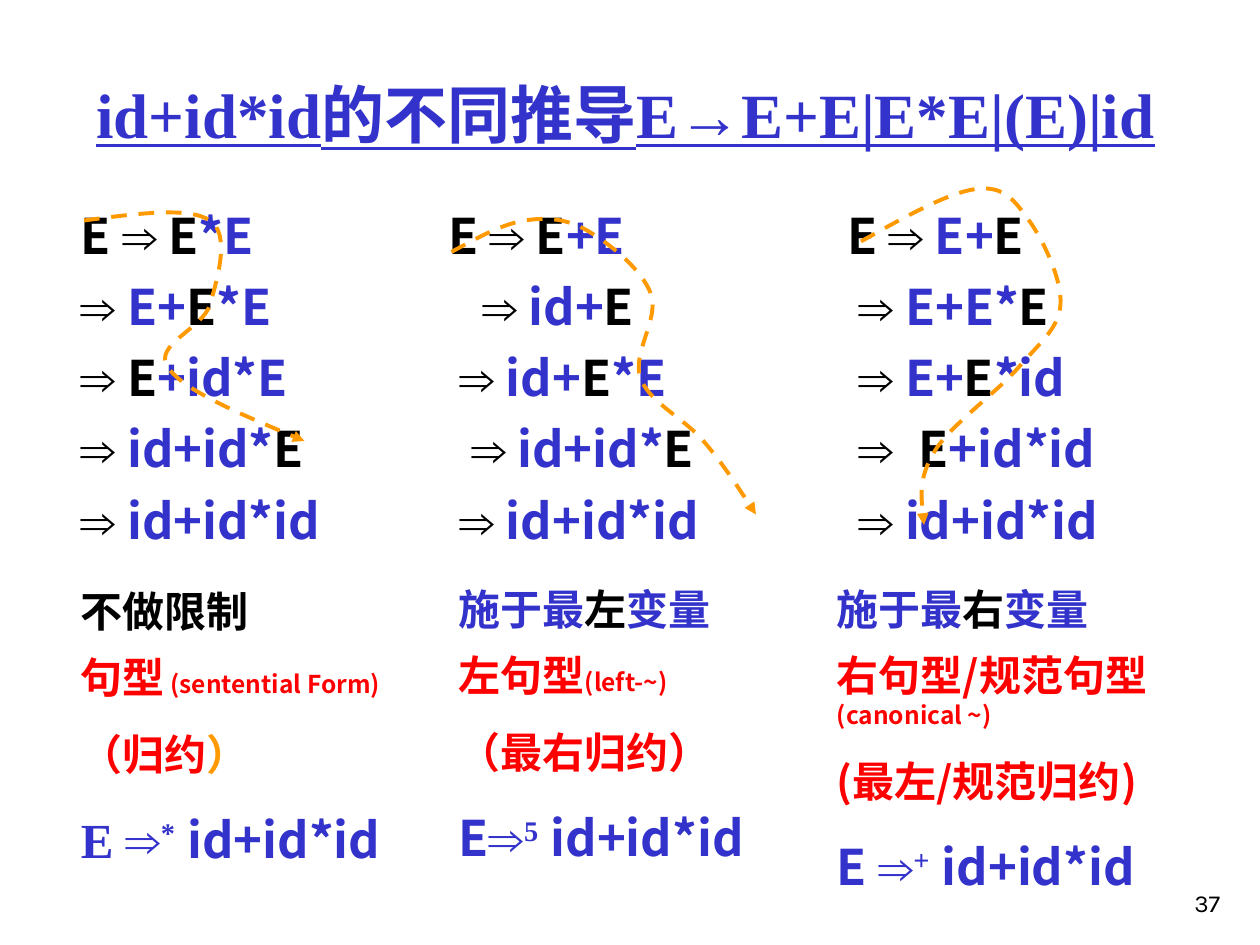
from pptx import Presentation
from pptx.util import Inches, Pt
from pptx.dml.color import RGBColor
from pptx.enum.dml import MSO_LINE
from pptx.enum.text import MSO_ANCHOR, PP_ALIGN
from pptx.oxml.ns import qn
from lxml.etree import SubElement

COLORS = {"black": "000000", "blue": "3333CC", "red": "FF0000", "orange": "FF9900"}
SANS, SERIF, SIGN = "Noto Sans CJK SC", "Times New Roman", "Arial"
STYLES = {
    "k": ("black", SANS, 28),
    "b": ("blue", SANS, 28),
    "a": ("black", SIGN, 28),
    "A": ("blue", SIGN, 28),
    "t": ("blue", SERIF, 28),
    "s": ("blue", SERIF, 28),
    "h": ("black", SANS, 24),
    "H": ("blue", SANS, 24),
    "r": ("red", SANS, 24),
    "o": ("orange", SANS, 24),
    "q": ("red", SANS, 14),
    "T": ("blue", SERIF, 36),
    "n": ("black", "Karla", 14),
}


class Deck:
    cell = Inches(1) / 12
    margin = 0.21
    pad = 0.09

    def __init__(self):
        self.file = Presentation()
        self.file.slide_width, self.file.slide_height = Inches(10), Inches(7.5)
        self.slide = self.file.slides.add_slide(self.file.slide_layouts[6])

    def grid(self, *units):
        return [round(unit * self.cell) for unit in units]

    def text(self, box, lines, gaps=None, pads=None, low=False, align=PP_ALIGN.LEFT):
        frame = self.slide.shapes.add_textbox(*self.grid(*box)).text_frame
        frame.word_wrap = True
        frame.vertical_anchor = MSO_ANCHOR.BOTTOM if low else MSO_ANCHOR.TOP
        for row, line in enumerate(lines):
            para = frame.add_paragraph() if row else frame.paragraphs[0]
            para.alignment = align
            if gaps:
                para.space_before = Pt(gaps[row])
                left = self.margin + (pads[row] * self.pad if pads else 0)
                props = para._p.get_or_add_pPr()
                props.set("marL", str(Inches(left)))
                props.set("indent", "0")
            for part in line.split(";"):
                self.run(para, part[0], part[1:])

    def run(self, para, key, words):
        color, face, size = STYLES[key]
        run = para.add_run()
        run.text = words
        font = run.font
        font.name, font.size, font.bold = face, Pt(size), key != "n"
        font.underline = key == "T"
        font.color.rgb = RGBColor.from_string(COLORS[color])
        props = run._r.get_or_add_rPr()
        SubElement(props, qn("a:ea")).set("typeface", SANS if key == "T" else face)
        if key == "s":
            props.set("baseline", "30000")

    def bend(self, knots):
        def mix(one, two, share):
            return [p + (q - p) * share for p, q in zip(one, two)]

        inner = []
        for prev, knot, after in zip(knots, knots[1:], knots[2:]):
            slope = [(q - p) / 6 for p, q in zip(prev, after)]
            back = [k - d for k, d in zip(knot, slope)]
            ahead = [k + d for k, d in zip(knot, slope)]
            inner += [back, knot, ahead]
        first, last = knots[0], knots[-1]
        return [mix(first, inner[0], 0.5), *inner, mix(inner[-1], last, 0.5), last]

    def curve(self, knots):
        start, *dots = [self.grid(*dot) for dot in [knots[0], *self.bend(knots)]]
        form = self.slide.shapes.build_freeform(*start, scale=1.0)
        form.add_line_segments(dots, close=False)
        shape = form.convert_to_shape()
        for index, step in enumerate(list(shape._element.iter(qn("a:lnTo")))):
            if index % 3 == 0:
                bow = step
                bow.tag = qn("a:cubicBezTo")
            else:
                bow.append(step[0])
                step.getparent().remove(step)
        shape.shadow.inherit = False
        shape.fill.background()
        line = shape.line
        line.color.rgb = RGBColor.from_string(COLORS["orange"])
        line.width = Pt(2.25)
        line.dash_style = MSO_LINE.DASH
        SubElement(line._get_or_add_ln(), qn("a:tailEnd")).set("type", "triangle")


COLUMNS = [
    {
        "steps": (4, 19, 39, 34),
        "lines": ["kE ;a⇒;k E;b*E", "a⇒;b E+;kE;b*E", "a⇒;k E;b+id*E",
                  "a⇒;b id+id*;kE", "a⇒;b id+id*id"],
        "pads": [0, 0, 0, 0, 0],
        "notes": (4, 55.2, 36, 28),
        "terms": ["h不做限制", "r句型;q (sentential Form)", "r（归约;o）",
                  "tE ;A⇒;s*;t ;bid+id*id"],
        "knots": [(8, 21), (20, 21), (20, 29), (16, 35), (29, 42)],
    },
    {
        "steps": (39, 19, 35, 34),
        "lines": ["kE ;a⇒;k E;b+E", "a⇒;b id+;kE", "a⇒;b id+;kE;b*E",
                  "a⇒;b id+id*;kE", "a⇒;b id+id*id"],
        "pads": [0, 3, 1, 2, 1],
        "notes": (40, 55, 34, 28),
        "terms": ["H施于最;h左;H变量", "r左句型;q(left-~)", "r（最右归约）",
                  "bE;A⇒;s5;t ;bid+id*id"],
        "knots": [(43, 24), (50, 21), (56, 22), (62, 28), (61, 36), (67, 42), (72, 49)],
    },
    {
        "steps": (77, 19, 38, 34),
        "lines": ["kE ;a⇒;b E+;kE", "a⇒;b E+E*;kE", "a⇒;b E+;kE;b*id",
                  "a⇒ ;k E;b+id*id", "a⇒;b id+id*id"],
        "pads": [0, 1, 1, 1, 1],
        "notes": (76, 55, 40, 31),
        "terms": ["H施于最;h右;H变量", "r右句型/规范句型 ;q(canonical ~)",
                  "r(最左/规范归约)", "bE ;A⇒;s+;t ;bid+id*id"],
        "knots": [(82, 23), (93, 18), (98, 21), (101, 29), (97, 35), (89, 43), (88, 50)],
    },
]

deck = Deck()
deck.text((8, 7, 107, 8), ["Tid+id*id的不同推导E→E+E|E*E|(E)|id"], low=True)
for col in COLUMNS:
    deck.text(col["steps"], col["lines"], [7] * 5, col["pads"])
    deck.text(col["notes"], col["terms"], [15, 8.8, 15, 17.5])
for col in COLUMNS:
    deck.curve(col["knots"])
deck.text((92.4, 82, 25, 6), ["n37"], low=True, align=PP_ALIGN.RIGHT)
deck.file.save("out.pptx")
